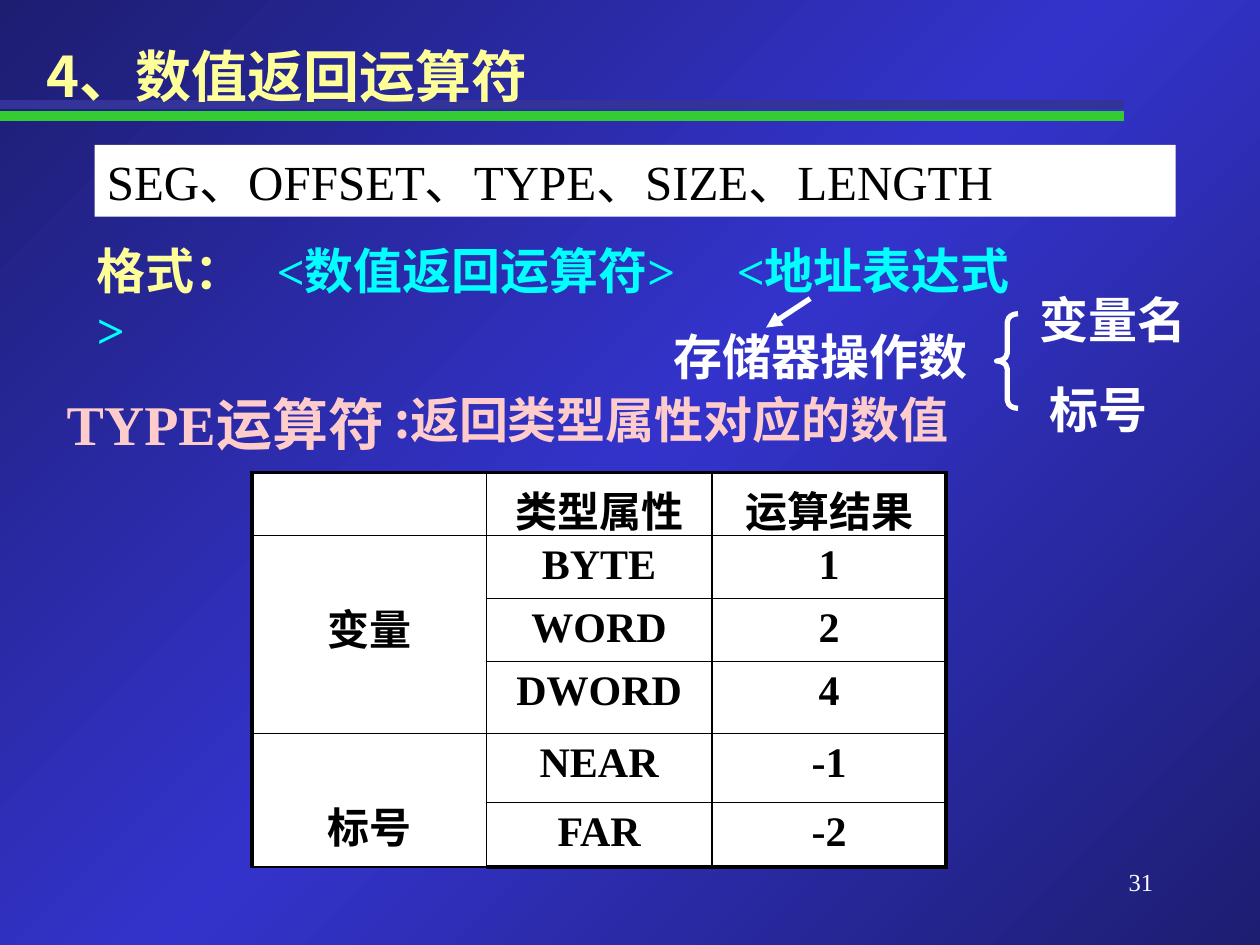
import copy
import pptx
import pptx.dml.color
import pptx.enum.shapes
import pptx.enum.text
import pptx.oxml
import pptx.oxml.ns
import pptx.util
from lxml import etree

Inches = pptx.util.Inches
Pt = pptx.util.Pt
qn = pptx.oxml.ns.qn
SHAPES = pptx.enum.shapes.MSO_SHAPE
ALIGN = pptx.enum.text.PP_ALIGN

SERIF = "Times New Roman"
SANS = "Noto Sans CJK SC"
WHITE, BLACK, YELLOW = "FFFFFF", "000000", "FFFF99"
CYAN, PINK = "00FFFF", "FFCCCC"
NAVY, BLUE = "1D1D72", "3333CC"


def colour(value):
    return pptx.dml.color.RGBColor.from_string(value)


class SlideBuilder:
    def __init__(self, page):
        self.page = page

    def background(self, edge, middle):
        fill = self.page.background.fill
        fill.gradient()
        fill.gradient_angle = 315
        stops = self.page.element.find(".//" + qn("a:gsLst"))
        stops.insert(1, copy.deepcopy(stops[0]))
        for stop, position, value in zip(fill.gradient_stops, (0, 0.5, 1), (edge, middle, edge)):
            stop.position = position
            stop.color.rgb = colour(value)

    def add_spans(self, frame, spans, size, font=SERIF, bold=True, align=ALIGN.LEFT):
        para = frame.paragraphs[0]
        para.alignment = align
        for content, value in spans:
            span = para.add_run()
            span.text = content
            span.font.size = Pt(size)
            span.font.name = font
            span.font.bold = bold
            span.font.color.rgb = colour(value)
            east_asian = etree.SubElement(span.font._element, qn("a:ea"))
            east_asian.set("typeface", SANS)
        return para

    def text(self, place, spans, size=28, wrap=True, **style):
        box = self.page.shapes.add_textbox(*map(Inches, place))
        box.text_frame.word_wrap = wrap
        return self.add_spans(box.text_frame, spans, size, **style)

    def tabs(self, para, positions):
        stops = etree.SubElement(para._p.get_or_add_pPr(), qn("a:tabLst"))
        for position in positions:
            etree.SubElement(stops, qn("a:tab"), pos=str(Inches(position)), algn="l")

    def line(self, start, end, value, width, arrow=False):
        connector = self.page.shapes.add_connector(
            pptx.enum.shapes.MSO_CONNECTOR.STRAIGHT, *map(Inches, start + end))
        connector.line.color.rgb = colour(value)
        connector.line.width = Pt(width)
        if arrow:
            etree.SubElement(connector.line._get_or_add_ln(), qn("a:tailEnd"), type="triangle")
        etree.SubElement(connector._element.spPr, qn("a:effectLst"))

    def shape(self, kind, place, fill=None, line=None):
        shape = self.page.shapes.add_shape(kind, *map(Inches, place))
        shape.shadow.inherit = False
        if fill:
            shape.fill.solid()
            shape.fill.fore_color.rgb = colour(fill)
        else:
            shape.fill.background()
        if line:
            shape.line.color.rgb = colour(line)
            shape.line.width = Pt(3)
        else:
            shape.line.fill.background()
        return shape

    def border(self, cell, side, width):
        edge = etree.SubElement(cell._tc.get_or_add_tcPr(), qn("a:ln" + side), w=str(Pt(width)))
        fill = etree.SubElement(edge, qn("a:solidFill"))
        etree.SubElement(fill, qn("a:srgbClr"), val=BLACK)

    def table(self, place, widths, heights, rows, spans):
        table = self.page.shapes.add_table(
            len(rows), len(widths), *map(Inches, place)).table
        table.first_row = table.horz_banding = False
        for column, width in zip(table.columns, widths):
            column.width = Inches(width)
        for row, height in zip(table.rows, heights):
            row.height = Inches(height)
        for r, contents in enumerate(rows):
            for c, content in enumerate(contents):
                cell = table.cell(r, c)
                outer = {"L": c == 0, "R": c == len(widths) - 1,
                         "T": r == 0, "B": r == len(rows) - 1}
                for side, is_outer in outer.items():
                    self.border(cell, side, 2.25 if is_outer else 1)
                cell.fill.solid()
                cell.fill.fore_color.rgb = colour(WHITE)
                if content:
                    self.add_spans(cell.text_frame, [(content, BLACK)], 24, align=ALIGN.CENTER)
        for first, last in spans:
            group = table.cell(first, 0)
            group.merge(table.cell(last, 0))
            group.margin_top = Inches(0.49)


def main():
    deck = pptx.Presentation()
    deck.slide_width, deck.slide_height = Inches(10), Inches(7.5)
    slide = SlideBuilder(deck.slides.add_slide(deck.slide_layouts[6]))
    slide.background(NAVY, BLUE)

    for y, value in ((0.92, "33CC33"), (0.83, "333399")):
        slide.line((0, y), (8.92, y), value, 5.5)
    slide.text((7.17, 6.83, 2.08, 0.5), [("31", WHITE)], 14, bold=False, align=ALIGN.RIGHT)
    slide.text((0.27, 0.28, 4.5, 0.63), [("4、数值返回运算符", YELLOW)], 32, font=SANS)

    operators = slide.shape(SHAPES.RECTANGLE, (0.75, 1.15, 8.58, 0.57), fill=WHITE)
    operators.text_frame.vertical_anchor = pptx.enum.text.MSO_ANCHOR.TOP
    slide.add_spans(operators.text_frame, [("SEG、OFFSET、TYPE、SIZE、LENGTH", BLACK)],
                    28, bold=False)

    syntax = slide.text((0.67, 1.86, 7.53, 0.57), [
        ("格式：\t", YELLOW), ("<数值返回运算符>\t<地址表达式>", CYAN)])
    slide.tabs(syntax, (1.43, 5.08))

    slide.line((6.43, 2.37), (6.08, 2.6), WHITE, 3, arrow=True)
    slide.text((5.25, 2.54, 2.55, 0.57), [("存储器操作数", WHITE)], wrap=False)
    brace = slide.shape(SHAPES.LEFT_BRACE, (7.91, 2.49, 0.17, 0.75), line=WHITE)
    brace.adjustments[0] = 0.375
    slide.text((8.15, 2.25, 1.37, 0.57), [("变量名", WHITE)], wrap=False, font=SANS)
    slide.text((8.23, 2.96, 0.98, 0.57), [("标号", WHITE)], font=SANS)

    slide.text((0.43, 3.04, 4.33, 0.63), [("TYPE运算符", PINK)], 32)
    slide.text((3.03, 3.04, 4.69, 0.57), [(":返回类型属性对应的数值", PINK)],
               wrap=False, font=SANS)

    slide.table((2, 3.75, 5.5, 3.13), (1.86, 1.79, 1.86),
                (0.5, 0.5, 0.5, 0.57, 0.55, 0.51), [
                    ("", "类型属性", "运算结果"),
                    ("变量", "BYTE", "1"),
                    ("", "WORD", "2"),
                    ("", "DWORD", "4"),
                    ("标号", "NEAR", "-1"),
                    ("", "FAR", "-2"),
                ], spans=((1, 3), (4, 5)))
    deck.save("out.pptx")


if __name__ == "__main__":
    main()
